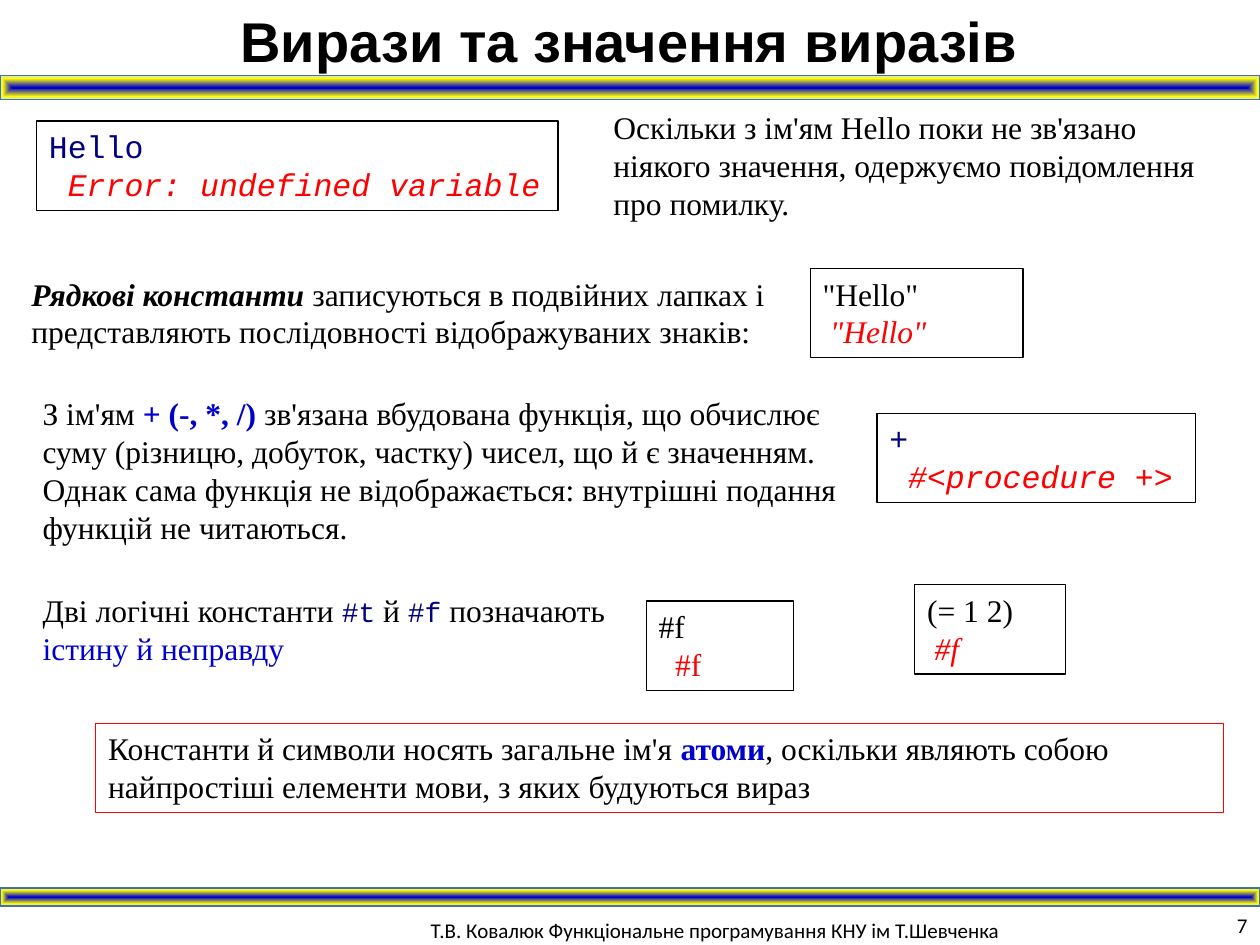
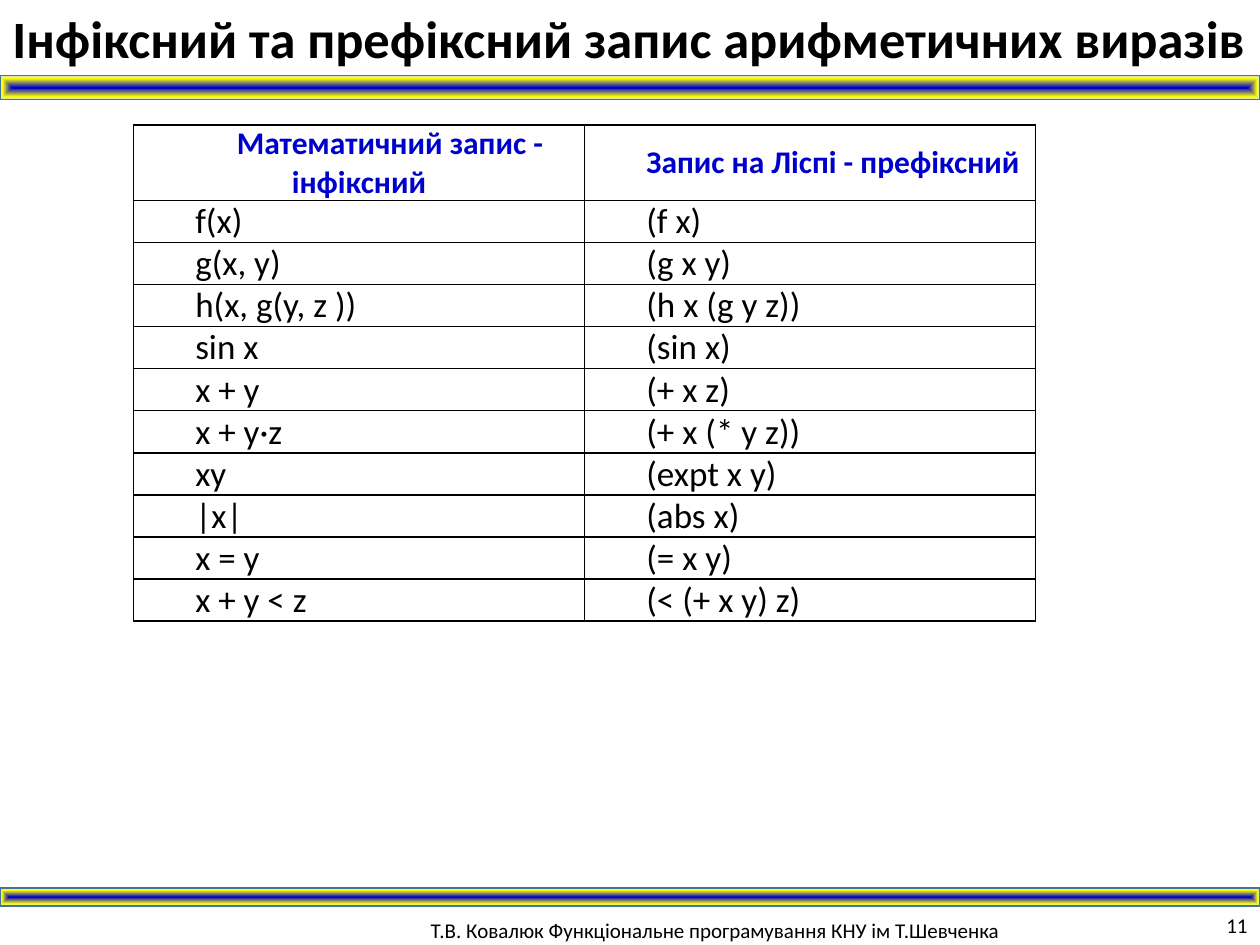
from dataclasses import dataclass

from pptx import Presentation
from pptx.dml.color import RGBColor as RGB
from pptx.enum.shapes import MSO_SHAPE as Preset
from pptx.enum.text import MSO_ANCHOR as Anchor, MSO_AUTO_SIZE as AutoSize, PP_ALIGN as Align
from pptx.oxml import parse_xml
from pptx.oxml.ns import nsdecls
from pptx.util import Inches, Pt


@dataclass(frozen=True)
class Theme:
    """Colours, fonts and type sizes of the lecture."""
    black: str = "000000"
    blue: str = "0000CC"
    navy: str = "000080"
    red: str = "FF0000"
    band_edge: str = "43739E"
    band_stops: tuple = ((0, "0000CC"), (77, "FFFF00"), (100, "CEE1F2"))
    sans: str = "Calibri"
    heading: str = "Arial"
    serif: str = "Times New Roman"
    mono: str = "Courier New"
    small: int = 12
    inline: int = 16
    body: int = 18
    cell: int = 20
    wide_title: int = 30
    title: int = 32
    first_indent: float = 0.49


THEME = Theme()


def font(name, size, colour=THEME.black, bold=False, italic=False):
    """Return one text style: its colour and its font attributes."""
    return colour, {"name": name, "size": Pt(size), "bold": bold, "italic": italic}


FOOTER = font(THEME.sans, THEME.small)
TITLE = font(THEME.heading, THEME.title, bold=True)
WIDE_TITLE = font(THEME.sans, THEME.wide_title, bold=True)
BODY = font(THEME.serif, THEME.body)
TERM = font(THEME.serif, THEME.body, bold=True, italic=True)
KEYWORD = font(THEME.serif, THEME.body, THEME.blue, bold=True)
MEANING = font(THEME.serif, THEME.body, THEME.blue)
LITERAL = font(THEME.mono, THEME.inline, THEME.navy)
CODE = font(THEME.mono, THEME.body, THEME.navy)
CODE_RESULT = font(THEME.mono, THEME.body, THEME.red, italic=True)
RESULT = font(THEME.serif, THEME.body, THEME.red, italic=True)
PLAIN_RESULT = font(THEME.serif, THEME.body, THEME.red)
HEADER = font(THEME.sans, THEME.body, THEME.blue, bold=True)
CELL = font(THEME.sans, THEME.cell)


def assign(target, values):
    """Set attributes of an object from a dict."""
    for name, value in values.items():
        setattr(target, name, value)


def write(paragraph, runs, layout=None, margin=0, first=0):
    """Fill a paragraph with (text, style) runs and set its layout and indents."""
    assign(paragraph, layout or {})
    properties = paragraph._p.get_or_add_pPr()
    properties.set("marL", str(Inches(margin)))
    properties.set("indent", str(Inches(first)))
    for text, (colour, values) in runs:
        run = paragraph.add_run()
        run.text = text
        assign(run.font, values)
        run.font.color.rgb = RGB.from_string(colour)


class Lecture:
    """Holds the theme, the presentation and the current slide."""

    def __init__(self, theme):
        """Start an empty 10 by 7.5 inch presentation."""
        self.theme = theme
        self.deck = Presentation()
        assign(self.deck, {"slide_width": Inches(10), "slide_height": Inches(7.5)})
        self.slide = None

    def new_slide(self, number):
        """Add a slide with the shared footer, bands and page number."""
        self.slide = self.deck.slides.add_slide(self.deck.slide_layouts[6])
        self.text((3.32, 7.23, 6, 0.32),
                  [("Т.В. Ковалюк Функціональне програмування КНУ ім Т.Шевченка", FOOTER)],
                  grow=False)
        self.band(0.6, 0.19)
        self.band(7.05, 0.14)
        page = self.text((9.31, 7.18, 0.69, 0.32), [(str(number), FOOTER)],
                         {"alignment": Align.RIGHT}, grow=False)
        page.vertical_anchor = Anchor.MIDDLE

    def rectangle(self, box, edge, weight):
        """Add an unfilled rectangle with an outline and no shadow."""
        shape = self.slide.shapes.add_shape(Preset.RECTANGLE, *map(Inches, box))
        shape.shadow.inherit = False
        shape.fill.background()
        shape.line.color.rgb = RGB.from_string(edge)
        shape.line.width = Pt(weight)
        return shape

    def band(self, top, height):
        """Add a full-width band shaded from its centre outwards."""
        band = self.rectangle((0, top, 10, height), self.theme.band_edge, 1)
        stops = "".join(f'<a:gs pos="{place * 1000}"><a:srgbClr val="{colour}"/></a:gs>'
                        for place, colour in self.theme.band_stops)
        gradient = parse_xml(
            f'<a:gradFill {nsdecls("a")} rotWithShape="1"><a:gsLst>{stops}</a:gsLst>'
            '<a:path path="rect"><a:fillToRect l="50000" t="50000" r="50000" b="50000"/>'
            '</a:path></a:gradFill>'.replace('path="rect"', 'path="shape"'))
        properties = band._element.spPr
        properties.replace(properties.find("{*}noFill"), gradient)

    def text(self, box, runs, layout=None, first=0, wrap=True, grow=True):
        """Add a one-paragraph text box."""
        frame = self.slide.shapes.add_textbox(*map(Inches, box)).text_frame
        assign(frame, {"word_wrap": wrap,
                       "auto_size": AutoSize.SHAPE_TO_FIT_TEXT if grow else AutoSize.NONE})
        write(frame.paragraphs[0], runs, layout, first=first)
        return frame

    def framed(self, box, runs, edge):
        """Add a framed text with its first paragraph."""
        frame = self.rectangle(box, edge, 0.75).text_frame
        assign(frame, {"word_wrap": True, "vertical_anchor": Anchor.TOP,
                       "auto_size": AutoSize.SHAPE_TO_FIT_TEXT})
        write(frame.paragraphs[0], runs, {"alignment": Align.LEFT})
        return frame

    def example(self, box, expression, result, styles, margin):
        """Add a framed expression with its indented result below."""
        frame = self.framed(box, [(expression, styles[0])], self.theme.black)
        write(frame.add_paragraph(), [(result, styles[1])], {"alignment": Align.LEFT}, margin)

    def table(self, box, rows, header_height, row_height):
        """Add a ruled table whose first row is the header."""
        grid = self.slide.shapes.add_table(len(rows), len(rows[0]), *map(Inches, box)).table
        assign(grid, {"first_row": False, "horz_banding": False})
        for i, row in enumerate(rows):
            grid.rows[i].height = Inches(row_height if i else header_height)
            for j, entry in enumerate(row):
                centred = i == j == 0
                self.cell(grid.cell(i, j), entry, CELL if i else HEADER,
                          Align.CENTER if centred else Align.JUSTIFY)

    def cell(self, cell, entry, style, alignment):
        """Write one table cell and rule its four sides."""
        assign(cell, {"margin_left": 0, "margin_right": 0, "margin_top": 0,
                      "margin_bottom": 0, "vertical_anchor": Anchor.MIDDLE})
        cell.fill.background()
        write(cell.text_frame.paragraphs[0], [(entry, style)], {"alignment": alignment},
              first=self.theme.first_indent)
        properties = cell._tc.get_or_add_tcPr()
        for place, side in enumerate("LRTB"):
            properties.insert(place, parse_xml(
                f'<a:ln{side} {nsdecls("a")} w="{Pt(1)}"><a:solidFill>'
                f'<a:srgbClr val="{self.theme.black}"/></a:solidFill></a:ln{side}>'))


def expressions_slide(lecture):
    """Build the slide on expressions and their values."""
    lecture.new_slide(7)
    lecture.text((1.32, 0, 6.91, 0.64), [("Вирази та значення виразів", TITLE)],
                 {"alignment": Align.JUSTIFY, "space_before": Pt(6), "space_after": Pt(6)},
                 first=THEME.first_indent, wrap=False)

    explanations = [
        ((4.77, 0.81, 5, 1.01),
         [("Оскільки з ім'ям Hello поки не зв'язано ніякого значення, одержуємо "
           "повідомлення про помилку.", BODY)]),
        ((0.15, 2.13, 6.07, 0.71),
         [("Рядкові константи ", TERM),
          ("записуються в подвійних лапках і представляють послідовності "
           "відображуваних знаків:", BODY)]),
        ((0.24, 3.08, 6.73, 1.31),
         [("З ім'ям ", BODY), ("+ (-, *, /) ", KEYWORD),
          ("зв'язана вбудована функція, що обчислює суму (різницю, добуток, частку) "
           "чисел, що й є значенням. Однак сама функція не відображається: внутрішні "
           "подання функцій не читаються.", BODY)]),
        ((0.24, 4.64, 5, 0.71),
         [("Дві логічні константи ", BODY), ("#t", LITERAL), (" й ", BODY),
          ("#f", LITERAL), (" позначають ", BODY), ("істину й неправду", MEANING)]),
    ]
    for box, runs in explanations:
        lecture.text(box, runs)

    code, prose = (CODE, CODE_RESULT), (BODY, RESULT)
    examples = [
        ((0.29, 0.96, 4.14, 0.71), "Hello", "Error: undefined variable", code, 0.15),
        ((6.43, 2.13, 1.69, 0.71), '"Hello"', '"Hello"', prose, 0.06),
        ((6.96, 3.28, 2.53, 0.71), "+", "#<procedure +>", code, 0.15),
        ((5.13, 4.77, 1.17, 0.71), "#f", "#f", (BODY, PLAIN_RESULT), 0.13),
        ((7.26, 4.64, 1.2, 0.71), "(= 1 2)", "#f", prose, 0.06),
    ]
    for example in examples:
        lecture.example(*example)

    lecture.framed((0.76, 5.74, 8.95, 0.71),
                   [("Константи й символи носять загальне ім'я ", BODY), ("атоми", KEYWORD),
                    (", оскільки являють собою найпростіші елементи мови, з яких "
                     "будуються вираз", BODY)], THEME.red)


def notation_slide(lecture):
    """Build the slide comparing infix and prefix notation."""
    lecture.new_slide(11)
    lecture.text((0, 0, 11.93, 0.61),
                 [("Інфіксний та префіксний запис арифметичних виразів", WIDE_TITLE)])
    notations = [
        ("Математичний запис - інфіксний", "Запис на Ліспі - префіксний"),
        ("f(x)", "(f x)"),
        ("g(x, y)", "(g x y)"),
        ("h(x, g(y, z ))", "(h x (g y z))"),
        ("sin x", "(sin x)"),
        ("x + y", "(+ x z)"),
        ("x + y·z", "(+ x (* y z))"),
        ("xy", "(expt x y)"),
        ("|x|", "(abs x)"),
        ("x = y", "(= x y)"),
        ("x + y < z", "(< (+ x y) z)"),
    ]
    lecture.table((1.06, 0.99, 7.16, 3.93), notations, 0.6, 0.33)


lecture = Lecture(THEME)
expressions_slide(lecture)
notation_slide(lecture)
lecture.deck.save("out.pptx")
